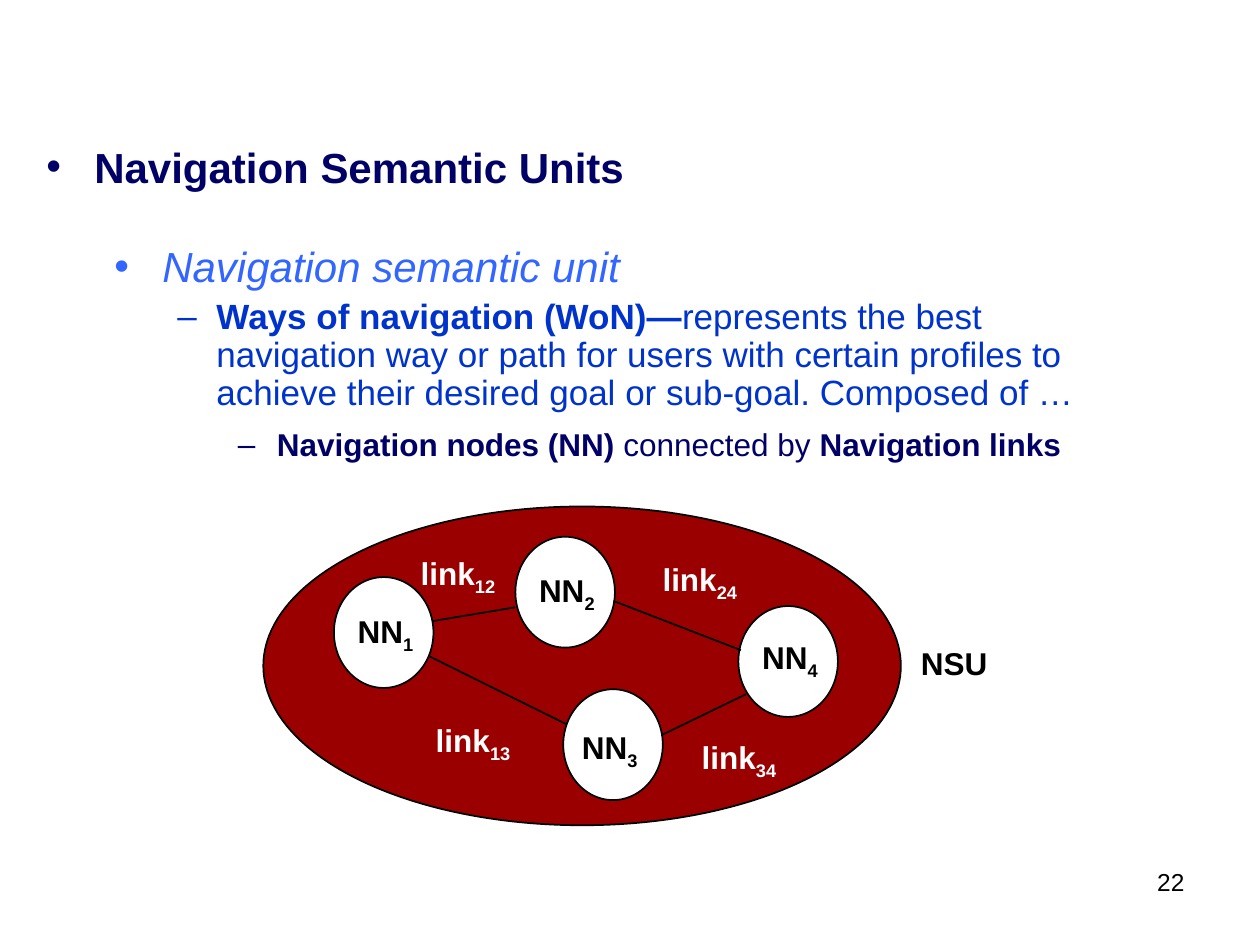
from lxml.etree import SubElement
from pptx import Presentation
from pptx.dml.color import RGBColor
from pptx.enum.shapes import MSO_CONNECTOR as Connector, MSO_SHAPE as Shape
from pptx.enum.text import MSO_AUTO_SIZE as AutoSize, PP_ALIGN as Align
from pptx.oxml.ns import qn
from pptx.util import Inches, Pt

THEME = {
    "font": "Arial",
    "color": {"navy": "000066", "sky": "3366FF", "blue": "0033CC",
              "red": "9A0000", "white": "FFFFFF", "black": "000000"},
    "size": {"heading": 24, "body": 20, "label": 18, "number": 14},
}
COLORS = {name: RGBColor.from_string(code) for name, code in THEME["color"].items()}


def add_box(left, top, width, height, wrap=True):
    box = page.shapes.add_textbox(Inches(left), Inches(top), Inches(width), Inches(height))
    box.text_frame.word_wrap = wrap
    box.text_frame.auto_size = AutoSize.NONE if wrap else AutoSize.SHAPE_TO_FIT_TEXT
    return box.text_frame


def add_span(para, text, size, color, bold=False, italic=False, subscript=False):
    span = para.add_run()
    span.text = text
    span.font.name = THEME["font"]
    span.font.size = Pt(THEME["size"][size])
    span.font.color.rgb = COLORS[color]
    span.font.bold = bold
    span.font.italic = italic
    if subscript:
        span._r.get_or_add_rPr().set("baseline", "-25000")


deck = Presentation()
deck.slide_width, deck.slide_height = Inches(10), Inches(7.5)
page = deck.slides.add_slide(deck.slide_layouts[6])

outline = [
    ((0.27, 1.07, 9, 0.95), [
        (0, "•", 0.38, 0.38, 1, 0, "heading", "navy",
         [("Navigation Semantic Units", True, False)]),
    ]),
    ((0.81, 1.86, 8.36, 1.87), [
        (0, "•", 0.38, 0.38, 1, 0, "heading", "sky",
         [("Navigation semantic unit", False, True)]),
        (1, "–", 0.81, 0.31, 0.9, 5, "body", "blue",
         [("Ways of navigation (WoN)—", True, False),
          ("represents the best navigation way or path for users with certain profiles "
           "to achieve their desired goal or sub-goal. Composed of …", False, False)]),
        (2, "–", 1.29, 0.31, 0.9, 4.5, "label", "navy",
         [("Navigation nodes (NN) ", True, False),
          ("connected by ", False, False),
          ("Navigation links", True, False)]),
    ]),
]
for place, entries in outline:
    frame = add_box(*place)
    for index, (level, bullet, margin, hang, leading, gap, size, color, spans) in enumerate(entries):
        para = frame.paragraphs[0] if index == 0 else frame.add_paragraph()
        para.level = level
        para.line_spacing = leading
        para.space_before = para.space_after = Pt(gap)
        props = para._p.get_or_add_pPr()
        props.set("marL", str(Inches(margin)))
        props.set("indent", str(-Inches(hang)))
        tint = SubElement(props, qn("a:buClr"))
        SubElement(tint, qn("a:srgbClr"), val=THEME["color"][color])
        SubElement(props, qn("a:buFont"), typeface=THEME["font"])
        SubElement(props, qn("a:buChar"), char=bullet)
        for text, bold, italic in spans:
            add_span(para, text, size, color, bold, italic)

number = add_box(7.44, 6.83, 2.06, 0.52).paragraphs[0]
number.alignment = Align.RIGHT
add_span(number, "22", "number", "black")

node_size = (0.79, 0.88)
ellipses = [
    (2.09, 4.02, 5.06, 2.53, "red"),
    (2.65, 4.58, *node_size, "white"),
    (4.09, 4.26, *node_size, "white"),
    (4.47, 5.47, *node_size, "white"),
    (5.86, 4.81, *node_size, "white"),
]
for left, top, width, height, color in ellipses:
    ellipse = page.shapes.add_shape(
        Shape.OVAL, Inches(left), Inches(top), Inches(width), Inches(height))
    ellipse.shadow.inherit = False
    ellipse.fill.solid()
    ellipse.fill.fore_color.rgb = COLORS[color]
    ellipse.line.color.rgb = COLORS["black"]
    ellipse.line.width = Pt(1)

links = [
    (3.43, 4.93, 4.09, 4.82),
    (3.41, 5.21, 4.5, 5.75),
    (4.87, 4.77, 5.88, 5.16),
    (5.26, 5.83, 5.92, 5.51),
]
for ends in links:
    link = page.shapes.add_connector(Connector.STRAIGHT, *map(Inches, ends))
    link.line.color.rgb = COLORS["black"]
    link.line.width = Pt(1)
    SubElement(link._element.spPr, qn("a:effectLst"))

node_label, link_label = (0.64, 0.41), (0.79, 0.41)
labels = [
    (2.74, 4.81, *node_label, "NN", "1", "black"),
    (4.18, 4.49, *node_label, "NN", "2", "black"),
    (5.95, 5.02, *node_label, "NN", "4", "black"),
    (4.52, 5.73, *node_label, "NN", "3", "black"),
    (3.36, 5.68, *link_label, "link", "13", "white"),
    (3.24, 4.35, *link_label, "link", "12", "white"),
    (5.47, 5.81, *link_label, "link", "34", "white"),
    (5.16, 4.4, *link_label, "link", "24", "white"),
    (7.21, 5.1, 0.73, 0.37, "NSU", "", "black"),
]
for left, top, width, height, text, index, color in labels:
    para = add_box(left, top, width, height, wrap=False).paragraphs[0]
    para.line_spacing = 0.9
    add_span(para, text, "label", color, bold=True)
    if index:
        add_span(para, index, "label", color, bold=True, subscript=True)

deck.save("out.pptx")
